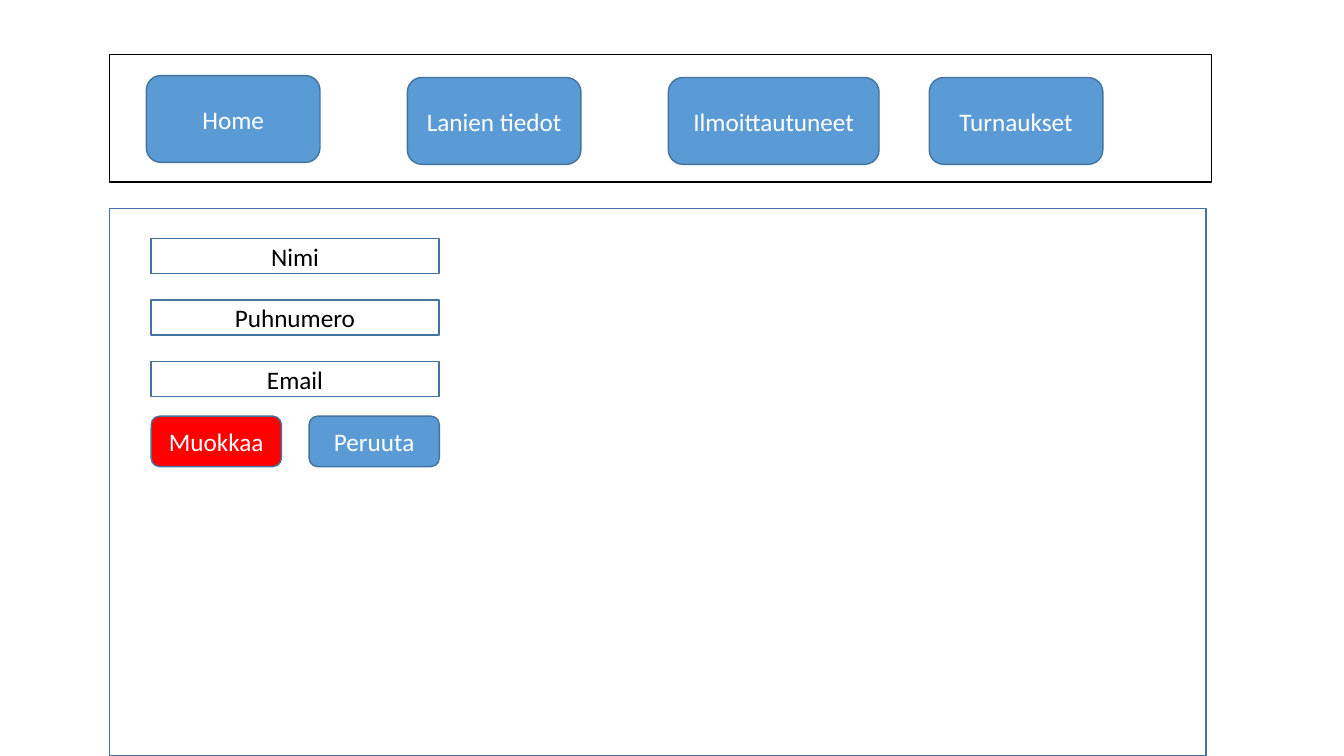
from pptx import Presentation
from pptx.dml.color import RGBColor
from pptx.enum.shapes import MSO_SHAPE
from pptx.enum.text import MSO_ANCHOR, PP_ALIGN
from pptx.util import Pt

BLACK = RGBColor(0x00, 0x00, 0x00)
WHITE = RGBColor(0xFF, 0xFF, 0xFF)
BLUE = RGBColor(0x5B, 0x9B, 0xD5)
DARK_BLUE = RGBColor(0x43, 0x73, 0x9E)
RED = RGBColor(0xFF, 0x00, 0x00)


def add_box(s, kind, x, y, w, h, fill=WHITE, line=DARK_BLUE):
    """Add a filled, outlined shape without a shadow."""
    sp = s.shapes.add_shape(kind, Pt(x), Pt(y), Pt(w), Pt(h))
    sp.shadow.inherit = False
    sp.fill.solid()
    sp.fill.fore_color.rgb = fill
    sp.line.color.rgb = line
    sp.line.width = Pt(1)
    return sp


def add_label(sp, text, color):
    """Write one centred line of text in a shape."""
    tf = sp.text_frame
    tf.word_wrap = True
    tf.vertical_anchor = MSO_ANCHOR.MIDDLE
    p = tf.paragraphs[0]
    p.alignment = PP_ALIGN.CENTER
    r = p.add_run()
    r.text = text
    r.font.name = "Calibri"
    r.font.size = Pt(18)
    r.font.color.rgb = color


def add_button(s, text, x, y, w, h, fill=BLUE):
    """Add a rounded button with white text."""
    sp = add_box(s, MSO_SHAPE.ROUNDED_RECTANGLE, x, y, w, h, fill)
    add_label(sp, text, WHITE)


def add_field(s, text, x, y, w, h):
    """Add a white form field with black text."""
    add_label(add_box(s, MSO_SHAPE.RECTANGLE, x, y, w, h), text, BLACK)


def main():
    """Build the slide and save it."""
    prs = Presentation()
    prs.slide_width, prs.slide_height = Pt(960), Pt(540)
    s = prs.slides.add_slide(prs.slide_layouts[6])

    add_box(s, MSO_SHAPE.RECTANGLE, 78.4, 39, 787, 91, line=BLACK)
    add_box(s, MSO_SHAPE.RECTANGLE, 78.4, 149, 783.2, 391)

    nav = [("Home", 54, 124), ("Lanien tiedot", 55.4, 124),
           ("Ilmoittautuneet", 55.4, 150.5), ("Turnaukset", 55.4, 124)]
    for i, (text, y, w) in enumerate(nav):
        add_button(s, text, 104.6 + 186.4 * i, y, w, 62)

    for i, text in enumerate(["Nimi", "Puhnumero", "Email"]):
        add_field(s, text, 108, 170.4 + 44 * i, 205.5, 25)

    for i, (text, fill) in enumerate([("Muokkaa", RED), ("Peruuta", BLUE)]):
        add_button(s, text, 108, 297.3, 93, 36, fill) if i == 0 else \
            add_button(s, text, 220.8, 297.3, 93, 36, fill)

    prs.save("out.pptx")


if __name__ == "__main__":
    main()
